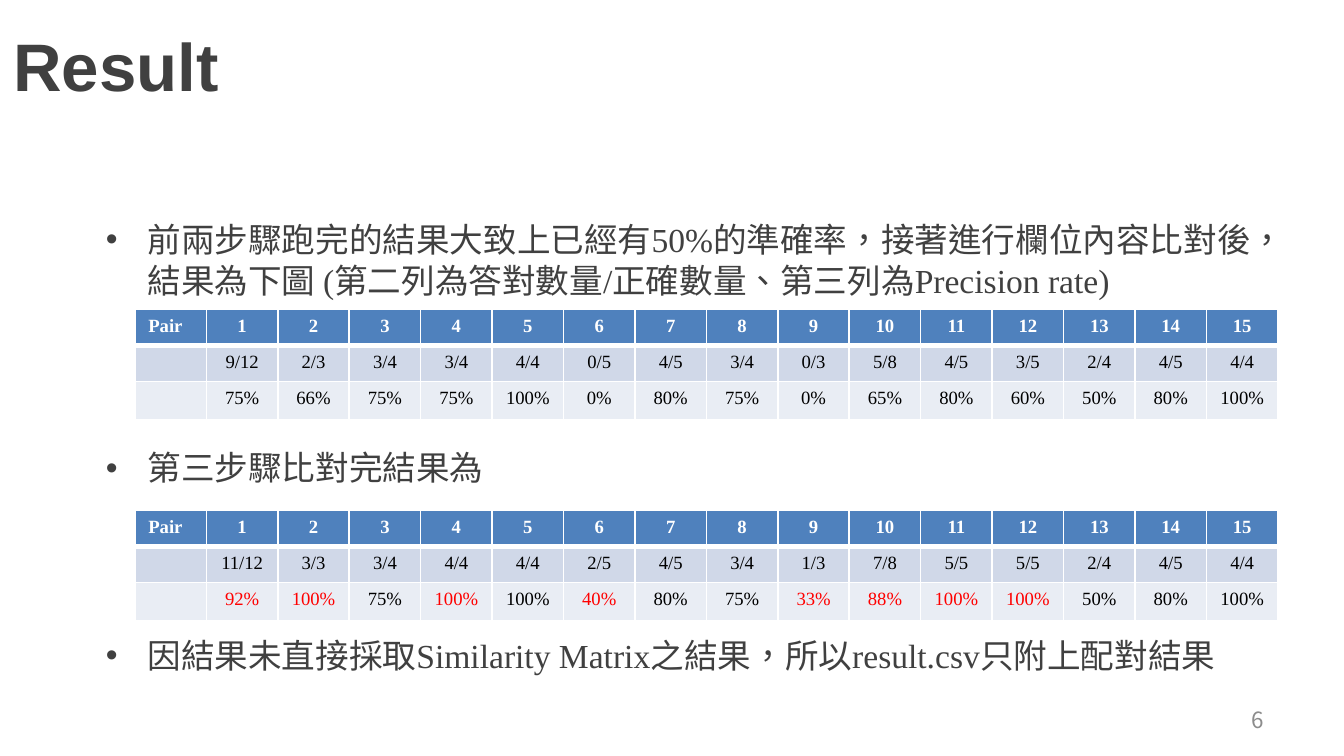
import pptx
import pptx.dml.color
import pptx.enum.text
import pptx.oxml
import pptx.oxml.ns
import pptx.util
import lxml.etree

Cm = pptx.util.Cm
Pt = pptx.util.Pt
RGBColor = pptx.dml.color.RGBColor
PP_ALIGN = pptx.enum.text.PP_ALIGN
MSO_ANCHOR = pptx.enum.text.MSO_ANCHOR
qn = pptx.oxml.ns.qn

WHITE = RGBColor(0xFF, 0xFF, 0xFF)
BLACK = RGBColor(0, 0, 0)
RED = RGBColor(0xFF, 0, 0)
DARK = RGBColor(0x40, 0x40, 0x40)
GREY = RGBColor(0x8C, 0x8C, 0x8C)
BLUE = RGBColor(0x4F, 0x81, 0xBD)
BAND = RGBColor(0xD0, 0xD8, 0xE8)
PALE = RGBColor(0xE9, 0xED, 0xF4)
SERIF = "Times New Roman"
SANS = "Arial"
CJK = "Noto Sans CJK KR"

BULLETS = [
    "前兩步驟跑完的結果大致上已經有50%的準確率，接著進行欄位內容比對後，結果為下圖 (第二列為答對數量/正確數量、第三列為Precision rate)",
    "第三步驟比對完結果為",
    "因結果未直接採取Similarity Matrix之結果，所以result.csv只附上配對結果",
]
FIRST_COUNTS = "9/12 2/3 3/4 3/4 4/4 0/5 4/5 3/4 0/3 5/8 4/5 3/5 2/4 4/5 4/4".split()
FIRST_RATES = "75% 66% 75% 75% 100% 0% 80% 75% 0% 65% 80% 60% 50% 80% 100%".split()
FINAL_COUNTS = "11/12 3/3 3/4 4/4 4/4 2/5 4/5 3/4 1/3 7/8 5/5 5/5 2/4 4/5 4/4".split()
FINAL_RATES = "92% 100% 75% 100% 100% 40% 80% 75% 33% 88% 100% 100% 50% 80% 100%".split()
IMPROVED = {1, 2, 4, 6, 9, 10, 11, 12}


def write(p, text, size=10, font=SERIF, color=BLACK, bold=False, align=PP_ALIGN.LEFT):
    p.alignment = align
    if not text:
        end = lxml.etree.SubElement(p._p, qn("a:endParaRPr"))
        end.set("sz", str(size * 100))
        return
    r = p.add_run()
    r.text = text
    r.font.size = Pt(size)
    r.font.name = font
    r.font.bold = bold
    r.font.color.rgb = color
    rPr = r.font._element
    rPr.set("lang", "zh-TW")
    lxml.etree.SubElement(rPr, qn("a:ea")).set("typeface", CJK)


def add_box(s, x, y, w, h, anchor=MSO_ANCHOR.TOP):
    tf = s.shapes.add_textbox(Cm(x), Cm(y), Cm(w), Cm(h)).text_frame
    tf.word_wrap = True
    tf.vertical_anchor = anchor
    return tf


def add_title(s, x, y, w, h):
    tf = add_box(s, x, y, w, h, MSO_ANCHOR.MIDDLE)
    write(tf.paragraphs[0], "Result", size=36, font=SANS, color=DARK, bold=True)


def add_page_number(s, x, y, w, h):
    tf = add_box(s, x, y, w, h, MSO_ANCHOR.MIDDLE)
    write(tf.paragraphs[0], "6", size=12, font=CJK, color=GREY, align=PP_ALIGN.RIGHT)


def add_bullets(s, x, y, w, h):
    tf = add_box(s, x, y, w, h)
    tf.margin_left = Cm(1.1)
    tf.margin_top = Cm(0.18)
    for i, text in enumerate(BULLETS):
        p = tf.add_paragraph() if i else tf.paragraphs[0]
        p.line_spacing = Pt(22)
        p.space_before = Pt(78.5 if i else 0)
        pPr = p._p.get_or_add_pPr()
        pPr.set("marL", str(Cm(0.79)))
        pPr.set("indent", str(Cm(-0.79)))
        lxml.etree.SubElement(pPr, qn("a:buFont")).set("typeface", SANS)
        lxml.etree.SubElement(pPr, qn("a:buChar")).set("char", "•")
        write(p, text, size=18, color=DARK)


def style_cell(cell, fill, bottom):
    tcPr = cell._tc.get_or_add_tcPr()
    for side, width in (("L", 1), ("R", 1), ("T", 1), ("B", bottom)):
        ln = lxml.etree.SubElement(tcPr, qn("a:ln" + side))
        ln.set("w", str(Pt(width)))
        solid = lxml.etree.SubElement(ln, qn("a:solidFill"))
        lxml.etree.SubElement(solid, qn("a:srgbClr")).set("val", str(WHITE))
    cell.fill.solid()
    cell.fill.fore_color.rgb = fill


def add_results(s, x, y, w, row_heights, counts, rates, improved=()):
    header = ["Pair"] + [str(n + 1) for n in range(len(counts))]
    rows = [header, [""] + counts, [""] + rates]
    fills = [BLUE, BAND, PALE]
    tbl = s.shapes.add_table(len(rows), len(header), Cm(x), Cm(y), Cm(w),
                             Cm(sum(row_heights))).table
    for col in tbl.columns:
        col.width = Cm(w / len(header))
    for i, row in enumerate(rows):
        tbl.rows[i].height = Cm(row_heights[i])
        top = i == 0
        for j, text in enumerate(row):
            cell = tbl.cell(i, j)
            style_cell(cell, fills[i], 3 if top or False else 1)
            color = WHITE if top else RED if i == 2 and j in improved else BLACK
            write(cell.text_frame.paragraphs[0], text, color=color, bold=top,
                  align=PP_ALIGN.CENTER if j else PP_ALIGN.LEFT)


def add_result_slide(prs):
    s = prs.slides.add_slide(prs.slide_layouts[6])
    add_bullets(s, 0.9, 3.94, 23.6, 8.33)
    add_title(s, 0, 0, 25.4, 2.46)
    add_page_number(s, 18.2, 13.23, 5.93, 0.76)
    heights = [0.66, 0.66, 0.72]
    add_results(s, 2.55, 5.85, 21.6, heights, FIRST_COUNTS, FIRST_RATES)
    add_results(s, 2.55, 9.65, 21.6, heights, FINAL_COUNTS, FINAL_RATES, IMPROVED)


prs = pptx.Presentation()
prs.slide_width = Cm(25.4)
prs.slide_height = Cm(14.29)
add_result_slide(prs)
prs.save("out.pptx")
